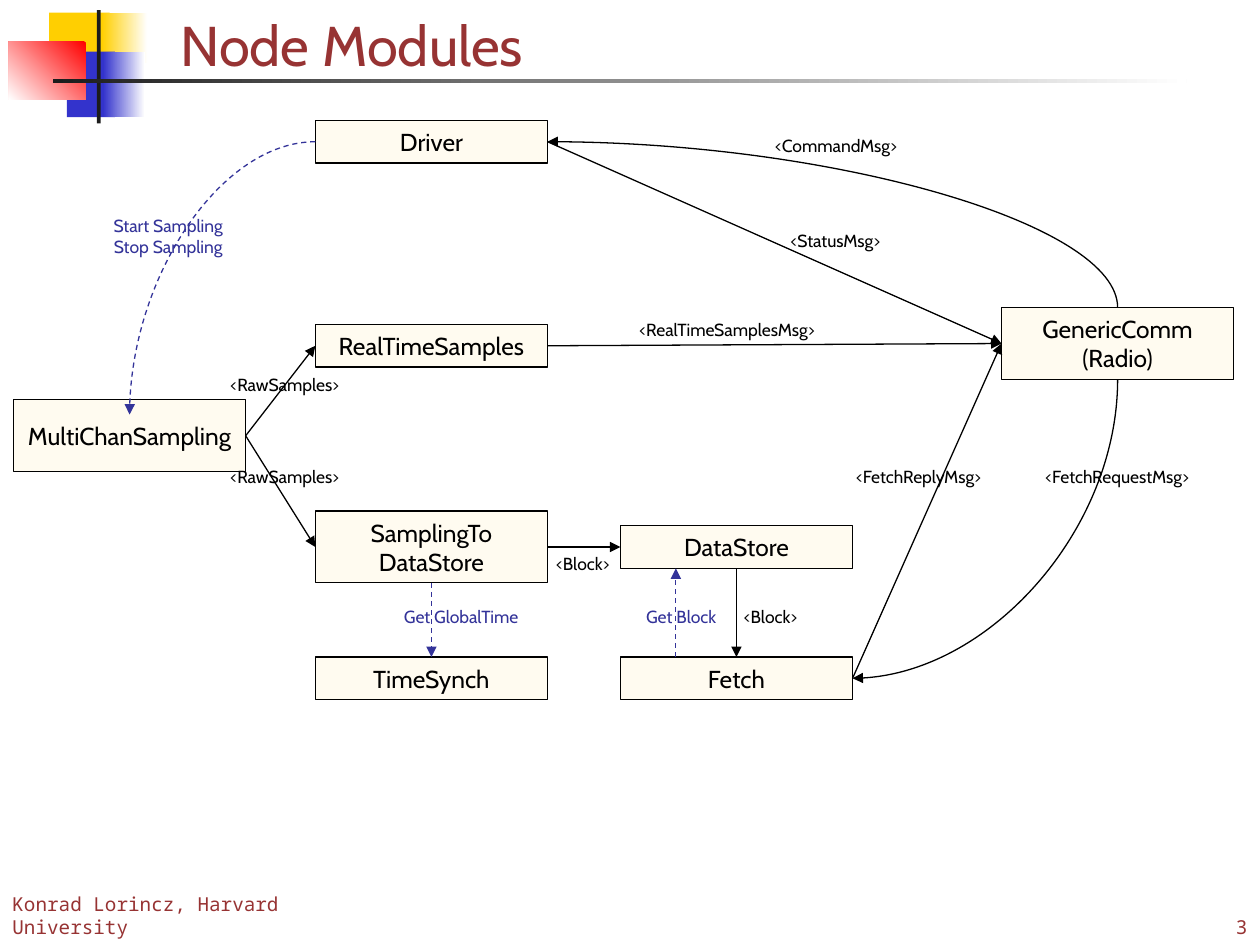
from lxml.etree import SubElement
from pptx import Presentation
from pptx.dml.color import RGBColor
from pptx.enum.dml import MSO_LINE
from pptx.enum.shapes import MSO_CONNECTOR, MSO_SHAPE
from pptx.enum.text import MSO_ANCHOR, PP_ALIGN
from pptx.oxml.ns import qn
from pptx.util import Pt

BLACK = RGBColor(0x00, 0x00, 0x00)
WHITE = RGBColor(0xFF, 0xFF, 0xFF)
INK = RGBColor(0x1C, 0x1C, 0x1C)
GOLD = RGBColor(0xFF, 0xCF, 0x01)
BLUE = RGBColor(0x33, 0x33, 0xCC)
RED = RGBColor(0xFF, 0x00, 0x00)
NAVY = RGBColor(0x33, 0x33, 0x99)
BRICK = RGBColor(0x97, 0x33, 0x33)
CREAM = RGBColor(0xFF, 0xFB, 0xF0)

SANS = "Cabin"
MONO = "Noto Sans Mono"
TOP, LEFT, BOTTOM, RIGHT = range(4)
WIDE, LOW, TALL = 132.7, 24.4, 41


def write(shape, paras, size, color, font=SANS, align=PP_ALIGN.CENTER,
          anchor=MSO_ANCHOR.MIDDLE, wrap=True):
    frame = shape.text_frame
    frame.word_wrap = wrap
    frame.vertical_anchor = anchor
    for i, text in enumerate(paras):
        para = frame.add_paragraph() if i else frame.paragraphs[0]
        para.alignment = align
        for j, line in enumerate(text.split("\n")):
            if j:
                para.add_line_break()
            run = para.add_run()
            run.text = line
            run.font.size = Pt(size)
            run.font.name = font
            run.font.color.rgb = color


def text_box(slide, x, y, w, h, paras, size, color, **style):
    box = slide.shapes.add_textbox(Pt(x), Pt(y), Pt(w), Pt(h))
    write(box, paras, size, color, **style)


def block(slide, x, y, w, h):
    shape = slide.shapes.add_shape(MSO_SHAPE.RECTANGLE, Pt(x), Pt(y), Pt(w), Pt(h))
    shape.shadow.inherit = False
    return shape


def emblem(slide, x, y):
    tiles = [
        (23.1, 1.4, 34.6, 26.6, GOLD, None, 0),
        (53.3, 1.4, 25.9, 28.8, GOLD, WHITE, 0),
        (33.2, 23.7, 27.4, 37.4, BLUE, None, 0),
        (54, 23.7, 23.8, 37.4, BLUE, WHITE, 0),
        (0, 18, 43.9, 33.1, RED, WHITE, 225),
        (50.4, 0, 2.2, 64.8, INK, None, 0),
        (25.2, 39.6, 648, 2.2, INK, WHITE, 0),
    ]
    for dx, dy, w, h, color, fade, angle in tiles:
        tile = block(slide, x + dx, y + dy, w, h)
        tile.line.fill.background()
        if fade is None:
            tile.fill.solid()
            tile.fill.fore_color.rgb = color
            continue
        tile.fill.gradient()
        tile.fill.gradient_angle = angle
        for stop, shade in zip(tile.fill.gradient_stops, (color, fade)):
            stop.color.rgb = shade


def node(slide, x, mid, tall, paras):
    h = TALL if tall else LOW
    shape = block(slide, x, mid - h / 2, WIDE, h)
    shape.fill.solid()
    shape.fill.fore_color.rgb = CREAM
    shape.line.color.rgb = BLACK
    shape.line.width = Pt(0.75)
    write(shape, paras, 14, BLACK)
    return shape


def arrow(slide, x1=0, y1=0, x2=0, y2=0, kind=MSO_CONNECTOR.STRAIGHT, call=False):
    line = slide.shapes.add_connector(kind, Pt(x1), Pt(y1), Pt(x2), Pt(y2))
    line.line.color.rgb = NAVY if call else BLACK
    line.line.width = Pt(0.75)
    if call:
        line.line.dash_style = MSO_LINE.DASH
    props = line._element.spPr
    SubElement(props.find(qn("a:ln")), qn("a:tailEnd"), type="triangle")
    SubElement(props, qn("a:effectLst"))
    return line


def link(slide, start, side, end, edge, call=False):
    line = arrow(slide, call=call)
    line.begin_connect(start, side)
    line.end_connect(end, edge)


def curve(slide, x1, y1, x2, y2, turn=0, call=False):
    if turn:
        cx, cy = (x1 + x2) / 2, (y1 + y2) / 2
        w, h = abs(y2 - y1) / 2, abs(x2 - x1) / 2
        if turn == 270:
            h = -h
        x1, y1, x2, y2 = cx - w, cy - h, cx + w, cy + h
    line = arrow(slide, x1, y1, x2, y2, MSO_CONNECTOR.CURVE, call)
    props = line._element.spPr
    props.find(qn("a:prstGeom")).set("prst", "curvedConnector2")
    if turn:
        props.find(qn("a:xfrm")).set("rot", str(turn * 60000))


def label(slide, x, mid, w, *paras, call=False):
    h = 7.2 + 12.2 * len(paras)
    text_box(slide, x - w / 2, mid - h / 2, w, h, paras, 10,
             NAVY if call else BLACK, wrap=False)


def graph(slide, x, y):
    cols = [x + dx for dx in (0, 172.5, 346.8, 564.6)]
    head, live, radio, source, store, base = [
        y + dy for dy in (12.2, 128.8, 127.5, 180.2, 243.8, 318.8)]

    multi = node(slide, cols[0], source, True, ["MultiChanSampling"])
    to_store = node(slide, cols[1], store, True, ["SamplingTo\nDataStore"])
    data = node(slide, cols[2], store, False, ["DataStore"])
    real = node(slide, cols[1], live, False, ["RealTimeSamples"])
    comm = node(slide, cols[3], radio, True, ["GenericComm", "(Radio)"])
    driver = node(slide, cols[1], head, False, ["Driver"])
    fetch = node(slide, cols[2], base, False, ["Fetch"])
    synch = node(slide, cols[1], base, False, ["TimeSynch"])

    link(slide, multi, RIGHT, to_store, LEFT)
    link(slide, multi, RIGHT, real, LEFT)
    link(slide, to_store, RIGHT, data, LEFT)
    link(slide, driver, RIGHT, comm, LEFT)
    link(slide, real, RIGHT, comm, LEFT)
    link(slide, fetch, RIGHT, comm, LEFT)
    link(slide, data, BOTTOM, fetch, TOP)
    link(slide, to_store, BOTTOM, synch, TOP, call=True)
    lane = cols[2] + 31.7
    arrow(slide, lane, base - LOW / 2, lane, store + LOW / 2, call=True)

    hub = cols[3] + WIDE / 2
    curve(slide, cols[1], head, cols[0] + WIDE / 2, source - 12.1, call=True)
    curve(slide, hub, radio - TALL / 2, cols[1] + WIDE, head, turn=270)
    curve(slide, hub, radio + TALL / 2, cols[2] + WIDE, base, turn=90)

    for dx, dy, w, text in [
        (155, 151.2, 85, "<RawSamples>"),
        (155, 203.7, 85, "<RawSamples>"),
        (470, 14.4, 94.3, "<CommandMsg>"),
        (469.7, 68.4, 74.9, "<StatusMsg>"),
        (407.7, 119.5, 128.2, "<RealTimeSamplesMsg>"),
        (517.2, 203.7, 96.5, "<FetchReplyMsg>"),
        (630.6, 203.7, 108.7, "<FetchRequestMsg>"),
        (325.3, 253.4, 51.1, "<Block>"),
        (432.6, 283.6, 51.1, "<Block>"),
    ]:
        label(slide, x + dx, y + dy, w, text)
    label(slide, x + 88.4, y + 65.8, 82.8, "Start Sampling", "Stop Sampling", call=True)
    label(slide, x + 381.5, y + 283.6, 58.3, "Get Block", call=True)
    label(slide, x + 255.8, y + 283.6, 86.4, "Get GlobalTime", call=True)


def title(slide, x, y, w, h):
    text_box(slide, x, y, w, h, ["Node Modules"], 32, BRICK,
             align=PP_ALIGN.LEFT, anchor=MSO_ANCHOR.BOTTOM)


def footer(slide, x, y, w, h):
    style = {"font": MONO, "anchor": MSO_ANCHOR.BOTTOM}
    text_box(slide, x, y, 228, h, ["Konrad Lorincz, Harvard University"], 11,
             BRICK, align=PP_ALIGN.LEFT, **style)
    text_box(slide, x + w - 150, y, 150, h, ["3"], 11, BRICK,
             align=PP_ALIGN.RIGHT, **style)


def main():
    deck = Presentation()
    deck.slide_width, deck.slide_height = Pt(720), Pt(540)
    slide = deck.slides.add_slide(deck.slide_layouts[6])
    emblem(slide, 5, 5.8)
    title(slide, 96, 0, 608, 48)
    graph(slide, 7.7, 68.8)
    footer(slide, 0, 504, 720, 36)
    deck.save("out.pptx")


if __name__ == "__main__":
    main()
